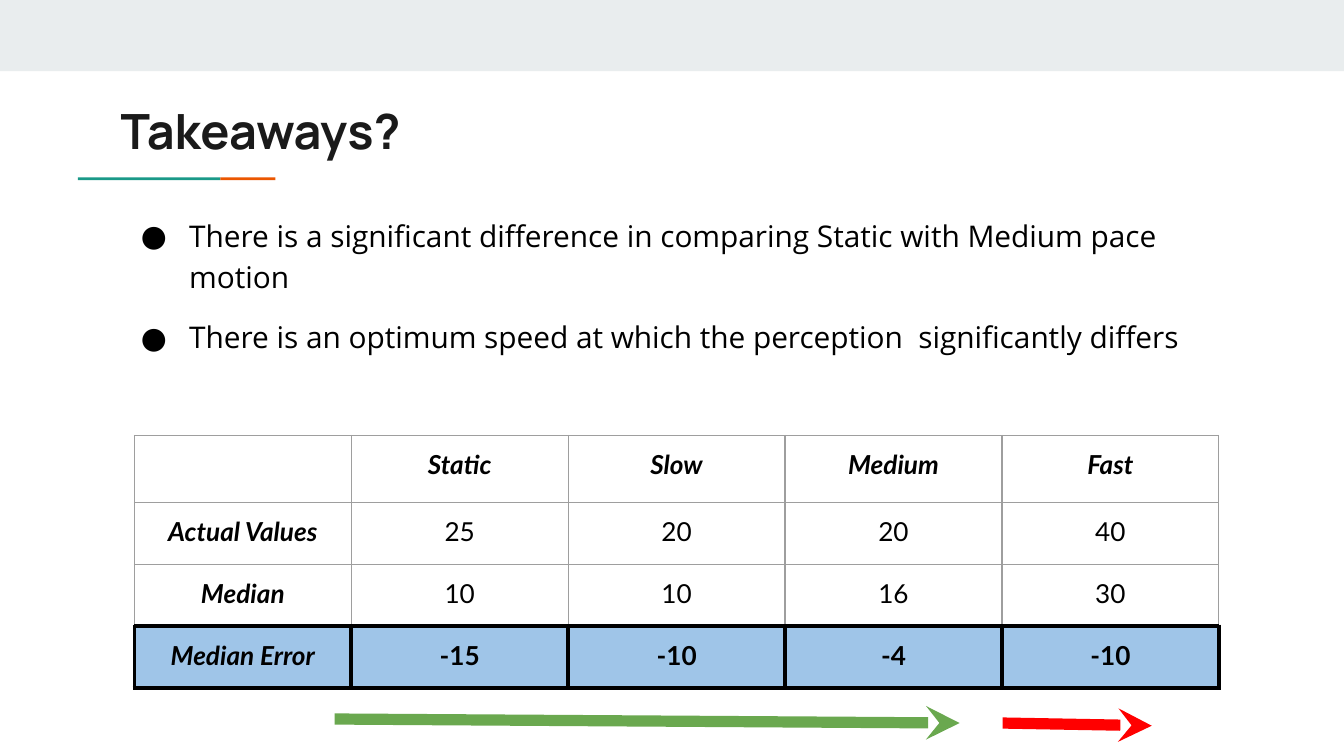
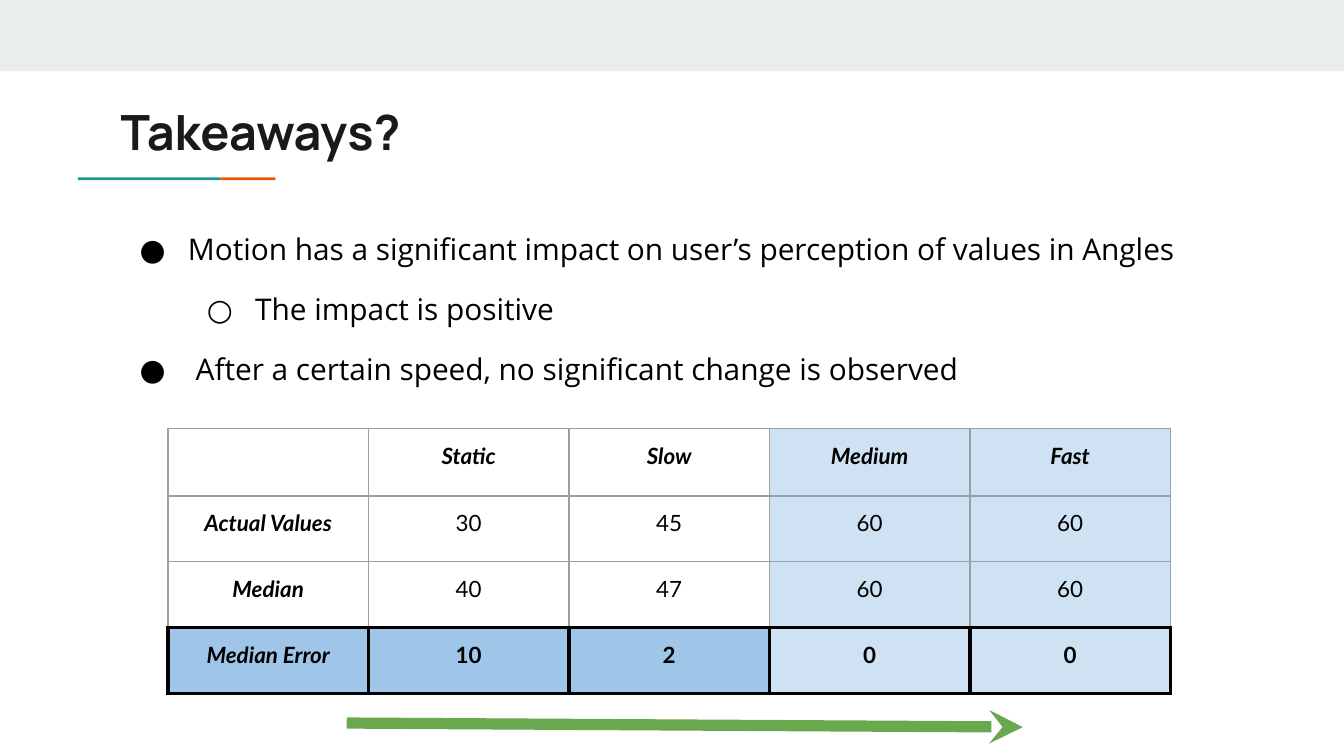
"""Build two takeaway slides, each with bullets, a table of medians and arrows."""
from lxml import etree
from pptx import Presentation
from pptx import util as u
from pptx.dml.color import RGBColor
from pptx.enum import shapes, text
from pptx.oxml.ns import qn

HUES = {"band": "E9EDEE", "teal": "1A9988", "rust": "EB5600", "title": "1A1A1A",
        "ink": "000000", "grid": "9E9E9E", "blue": "9FC5E8", "pale": "CFE2F3",
        "green": "6AA84F", "red": "FF0000"}
BARS = [(0, 0, 10, 0.53, "band"), (0.58, 1.32, 1.06, 0.02, "teal"),
        (1.64, 1.32, 0.41, 0.02, "rust")]
HEADS = ["", "Static", "Slow", "Medium", "Fast"]
NAMES = ["Actual Values", "Median", "Median Error"]
MARKS = "●○"

PAGES = [
    {"title": 0.65, "body": (0.81, 1.48, 8.37, 2.47),
     "list": [(0, "There is a significant difference in comparing Static with Medium pace motion"),
              (0, "There is an optimum speed at which the perception  significantly differs")],
     "grid": (1, 3.24), "wide": 8.07, "rows": [0.47, 0.46, 0.46, 0.46],
     "size": 14, "pale": [],
     "vals": [[25, 20, 20, 40], [10, 10, 16, 30], [-15, -10, -4, -10]],
     "lines": [(2.49, 5.35, 7.14, 5.38, "green"), (7.46, 5.38, 8.57, 5.4, "red")]},
    {"title": 0.66, "body": (0.8, 1.58, 8.41, 2.47),
     "list": [(0, "Motion has a significant impact on user’s perception of values in Angles"),
              (1, "The impact is positive"),
              (0, " After a certain speed, no significant change is observed")],
     "grid": (1.25, 3.19), "wide": 7.46, "rows": [0.49] * 4,
     "size": 12, "pale": [3, 4],
     "vals": [[30, 45, 60, 60], [40, 47, 60, 60], [10, 2, 0, 0]],
     "lines": [(2.58, 5.38, 7.61, 5.41, "green")]},
]


def write(para, words, face, size, hue, bold=False, slant=False):
    run = para.add_run()
    run.text = words
    font = run.font
    font.name, font.size, font.bold, font.italic = face, u.Pt(size), bold, slant
    font.color.rgb = RGBColor.from_string(HUES[hue])


def add(node, tag, **attrs):
    return etree.SubElement(node, qn(tag), **attrs)


deck = Presentation()
deck.slide_width, deck.slide_height = u.Inches(10), u.Inches(10 * 9 / 16)

for page in PAGES:
    slide = deck.slides.add_slide(deck.slide_layouts[6])
    for *box, hue in BARS:
        bar = slide.shapes.add_shape(shapes.MSO_SHAPE.RECTANGLE, *map(u.Inches, box))
        bar.shadow.inherit = False
        bar.fill.solid()
        bar.fill.fore_color.rgb = RGBColor.from_string(HUES[hue])
        bar.line.fill.background()

    frames = []
    for box in [(0.8, page["title"], 8.41, 0.59), page["body"]]:
        frame = slide.shapes.add_textbox(*map(u.Inches, box)).text_frame
        frame.word_wrap = True
        frame.margin_left = frame.margin_right = u.Inches(0.1)
        frame.margin_top = frame.margin_bottom = u.Inches(0.1)
        frames.append(frame)
    head, body = frames
    write(head.paragraphs[0], "Takeaways?", "Manrope", 26, "title", True)

    for i, (level, words) in enumerate(page["list"]):
        para = body.add_paragraph() if i else body.paragraphs[0]
        para.level = level
        para.line_spacing = 1.15
        para.space_before = u.Pt(10 if i else 0)
        props = para._p.get_or_add_pPr()
        props.set("marL", str(u.Inches(0.5 * (level + 1))))
        props.set("indent", str(u.Inches(-0.36)))
        add(add(props, "a:buClr"), "a:srgbClr", val=HUES["ink"])
        add(props, "a:buFont", typeface="Open Sans")
        add(props, "a:buChar", char=MARKS[level])
        write(para, words, "Open Sans", 16, "ink")

    rows = [HEADS] + [[name, *vals] for name, vals in zip(NAMES, page["vals"])]
    last = len(rows) - 1
    size = (page["wide"], sum(page["rows"]))
    table = slide.shapes.add_table(len(rows), len(HEADS),
                                   *map(u.Inches, page["grid"] + size)).table
    table.first_row = table.horz_banding = False
    for r, row in enumerate(rows):
        table.rows[r].height = u.Inches(page["rows"][r])
        for c, val in enumerate(row):
            cell = table.cell(r, c)
            cell.margin_left = cell.margin_right = u.Inches(0.1)
            cell.margin_top = cell.margin_bottom = u.Inches(0.1)
            for side in "LRTB":
                thick = r == last or (r == last - 1 and side == "B")
                edge = add(cell._tc.get_or_add_tcPr(), f"a:ln{side}",
                           w=str(u.Pt(2.25 if thick else 0.75)))
                add(add(edge, "a:solidFill"), "a:srgbClr",
                    val=HUES["ink" if thick else "grid"])
            if c in page["pale"] or r == last:
                cell.fill.solid()
                hue = "pale" if c in page["pale"] else "blue"
                cell.fill.fore_color.rgb = RGBColor.from_string(HUES[hue])
            else:
                cell.fill.background()
            para = cell.text_frame.paragraphs[0]
            para.alignment = text.PP_ALIGN.CENTER
            if val == "":
                add(add(para._p, "a:endParaRPr"), "a:latin", typeface="Arial")
            else:
                label = r == 0 or c == 0
                write(para, str(val), "Lato", page["size"], "ink", label or r == last, label)

    for *ends, hue in page["lines"]:
        line = slide.shapes.add_connector(shapes.MSO_CONNECTOR.STRAIGHT,
                                          *map(u.Inches, ends))
        line.line.width = u.Pt(6)
        line.line.color.rgb = RGBColor.from_string(HUES[hue])
        add(line.line._get_or_add_ln(), "a:tailEnd", type="stealth")
        add(line._element.spPr, "a:effectLst")

deck.save("out.pptx")
